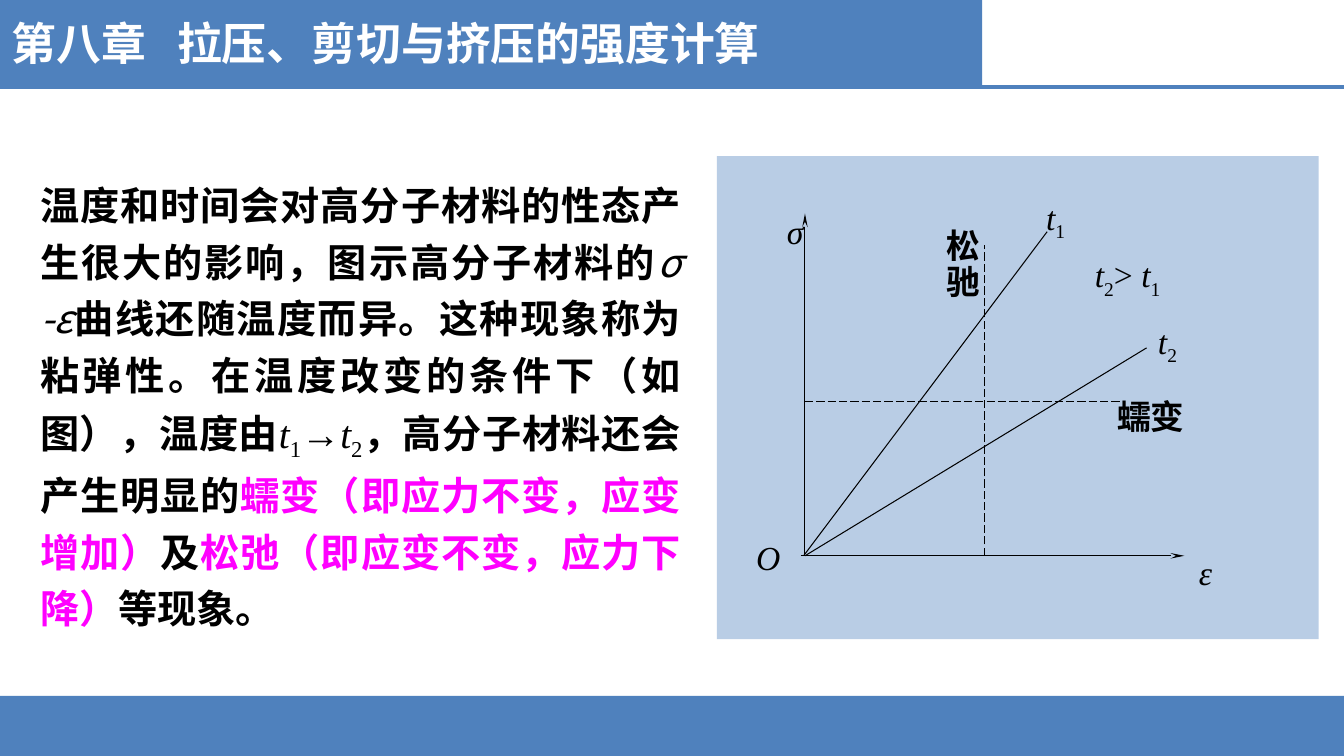
from pptx import Presentation
from pptx.dml.color import RGBColor
from pptx.enum.dml import MSO_LINE
from pptx.enum.shapes import MSO_CONNECTOR, MSO_SHAPE
from pptx.enum.text import MSO_AUTO_SIZE, PP_ALIGN
from pptx.oxml.ns import qn
from pptx.util import Pt
from lxml.etree import SubElement

# Content: runs are (text, style)
TITLE = [("第八章\t拉压、剪切与挤压的强度计算", "title")]
BODY = [
    ("温度和时间会对高分子材料的性态产生很大的影响，图示高分子材料的", "bold"),
    ("σ -ε", "slant"),
    ("曲线还随温度而异。这种现象称为粘弹性。在温度改变的条件下（如图），温度由", "bold"),
    ("t", "var"), ("1", "sub"), ("→", "plain"), ("t", "var"), ("2", "sub"),
    ("，高分子材料还会产生明显的", "bold"),
    ("蠕变（即应力不变，应变增加）", "pink"),
    ("及", "bold"),
    ("松弛（即应变不变，应力下降）", "pink"),
    ("等现象。", "bold"),
]
T1 = [("t", "var"), ("1", "sub")]
T2 = [("t", "var"), ("2", "sub")]

# Labels of the graph: runs, left, top, width, height, centred
LABELS = [
    (T1, 728, 137, 52, 36, True),
    (T2, 808, 225.5, 52, 36, True),
    (T2 + [("> ", "plain")] + T1, 767, 178, 77, 36, True),
    ([("松驰", "label")], 669, 160.5, 35.3, 60, True),
    ([("蠕变", "label")], 770.5, 279.5, 103, 36, True),
    ([("ε", "var")], 843.4, 391, 43.7, 36, False),
    ([("O", "var")], 533, 380, 46, 36, False),
    ([("σ", "var")], 549, 147, 35, 36, False),
]

# Graph geometry
OX, OY = 575, 397
CREEP, RELAX = 286.5, 703.5
LINES = [  # from, to, kind
    ((OX - 3, OY), (846, OY), "axis"),
    ((OX, OY), (OX, 152.5), "axis"),
    ((OX, OY), (819, 248.5), "curve"),
    ((OX - 1, OY), (748, 165.5), "curve"),
    ((OX, CREEP), (802, CREEP), "dash"),
    ((RELAX, OY), (RELAX, 175), "dash"),
]

# Theme
SANS, SERIF = "Noto Sans CJK SC", "Times New Roman"
THEME = dict(blue="4F81BD", pale="B9CDE5", ink="000000", pink="FF00FF",
             white="FFFFFF", head=32, text=28, mark=24)
STYLES = {  # font, bold, italic, colour, baseline
    "title": (SANS, True, False, "white", 0),
    "bold": (SANS, True, False, "ink", 0),
    "pink": (SANS, True, False, "pink", 0),
    "slant": (SANS, False, True, "ink", 0),
    "label": (SERIF, True, False, "ink", 0),
    "var": (SERIF, False, True, "ink", 0),
    "plain": (SERIF, False, False, "ink", 0),
    "sub": (SERIF, False, False, "ink", -25000),
}


def color(key):
    return RGBColor.from_string(THEME[key])


def block(left, top, width, height, fill):
    shape = slide.shapes.add_shape(MSO_SHAPE.RECTANGLE, Pt(left), Pt(top),
                                   Pt(width), Pt(height))
    shape.shadow.inherit = False
    shape.fill.solid()
    shape.fill.fore_color.rgb = color(fill)
    shape.line.fill.background()


def stroke(start, end, kind="curve", ink="ink", width=0.75):
    line = slide.shapes.add_connector(MSO_CONNECTOR.STRAIGHT,
                                      *map(Pt, start + end))
    line.line.color.rgb = color(ink)
    line.line.width = Pt(width)
    if kind == "dash":
        line.line.dash_style = MSO_LINE.LONG_DASH
    props = line._element.spPr
    if kind == "axis":
        SubElement(props.find(qn("a:ln")), qn("a:tailEnd"),
                   type="stealth", w="sm", len="lg")
    SubElement(props, qn("a:effectLst"))


def write(runs, left, top, width, height, size, align=PP_ALIGN.LEFT, wrap=True):
    box = slide.shapes.add_textbox(Pt(left), Pt(top), Pt(width), Pt(height))
    frame = box.text_frame
    frame.word_wrap = wrap
    frame.auto_size = MSO_AUTO_SIZE.SHAPE_TO_FIT_TEXT
    para = frame.paragraphs[0]
    para.alignment = align
    for text, style in runs:
        name, bold, slant, ink, base = STYLES[style]
        run = para.add_run()
        run.text = text
        font = run.font
        font.size, font.name = Pt(THEME[size]), name
        font.bold, font.italic = bold, slant
        font.color.rgb = color(ink)
        props = run._r.get_or_add_rPr()
        SubElement(props, qn("a:ea"), typeface=SANS if bold else name)
        if base:
            props.set("baseline", str(base))
    return frame


deck = Presentation()
deck.slide_width, deck.slide_height = Pt(960), Pt(540)
slide = deck.slides.add_slide(deck.slide_layouts[6])

# Header and footer bands
block(0, 497, 960, 43, "blue")
block(0, 0, 701.5, 62, "blue")
stroke((0, 62), (960, 62), ink="blue", width=3)

# Title, with a tab stop after the chapter number
head = write(TITLE, 1.5, 7.5, 560, 46, "head", wrap=False).paragraphs[0]
tabs = SubElement(head._p.get_or_add_pPr(), qn("a:tabLst"))
SubElement(tabs, qn("a:tab"), pos=str(Pt(118)), algn="l")

# Body text
body = write(BODY, 21.5, 119.5, 472, 332.5, "text", PP_ALIGN.JUSTIFY)
body.paragraphs[0].line_spacing = 1.2

# Graph
block(512, 111.5, 430, 345, "pale")
for start, end, kind in LINES:
    stroke(start, end, kind)
for runs, left, top, width, height, mid in LABELS:
    label = write(runs, left, top, width, height, "mark",
                  PP_ALIGN.CENTER if mid else PP_ALIGN.LEFT)
    if runs[0][0] in "εσ":
        label.margin_left = Pt(13)
    if height > 36:
        label.paragraphs[0].line_spacing = 0.9

deck.save("out.pptx")
